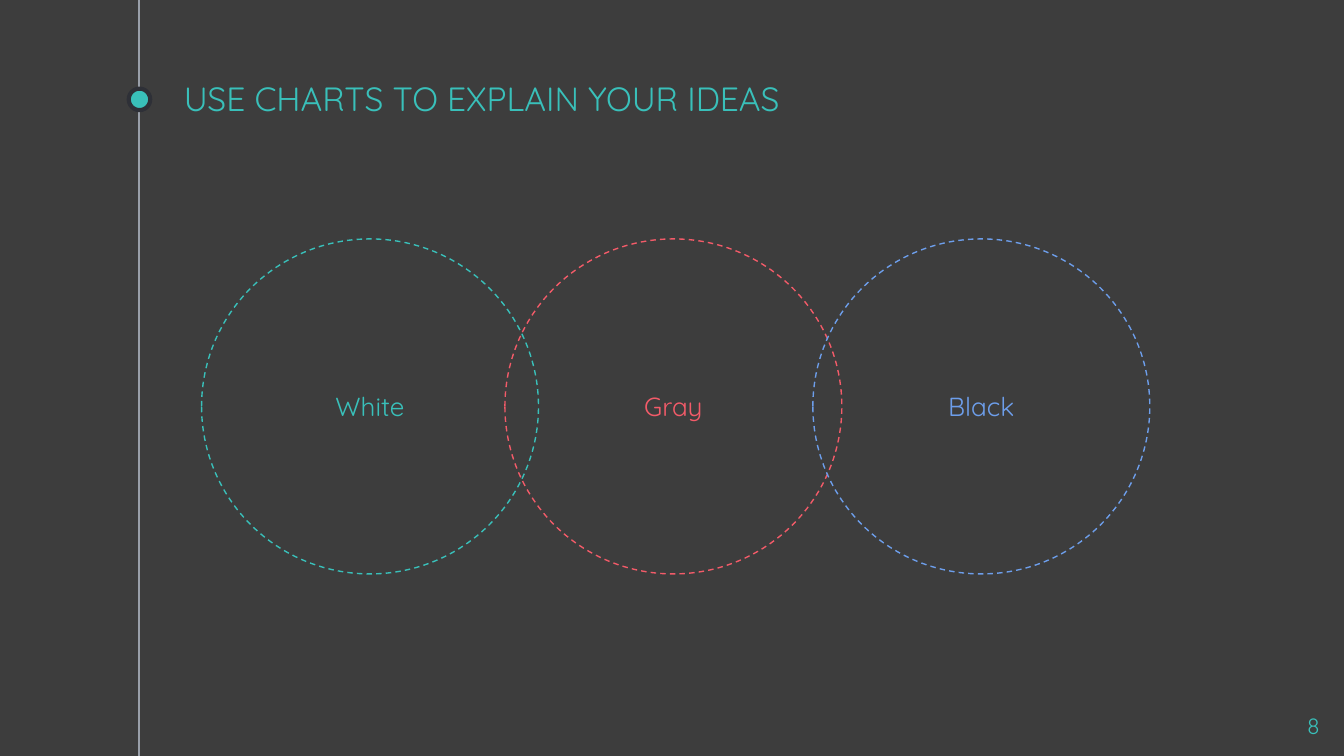
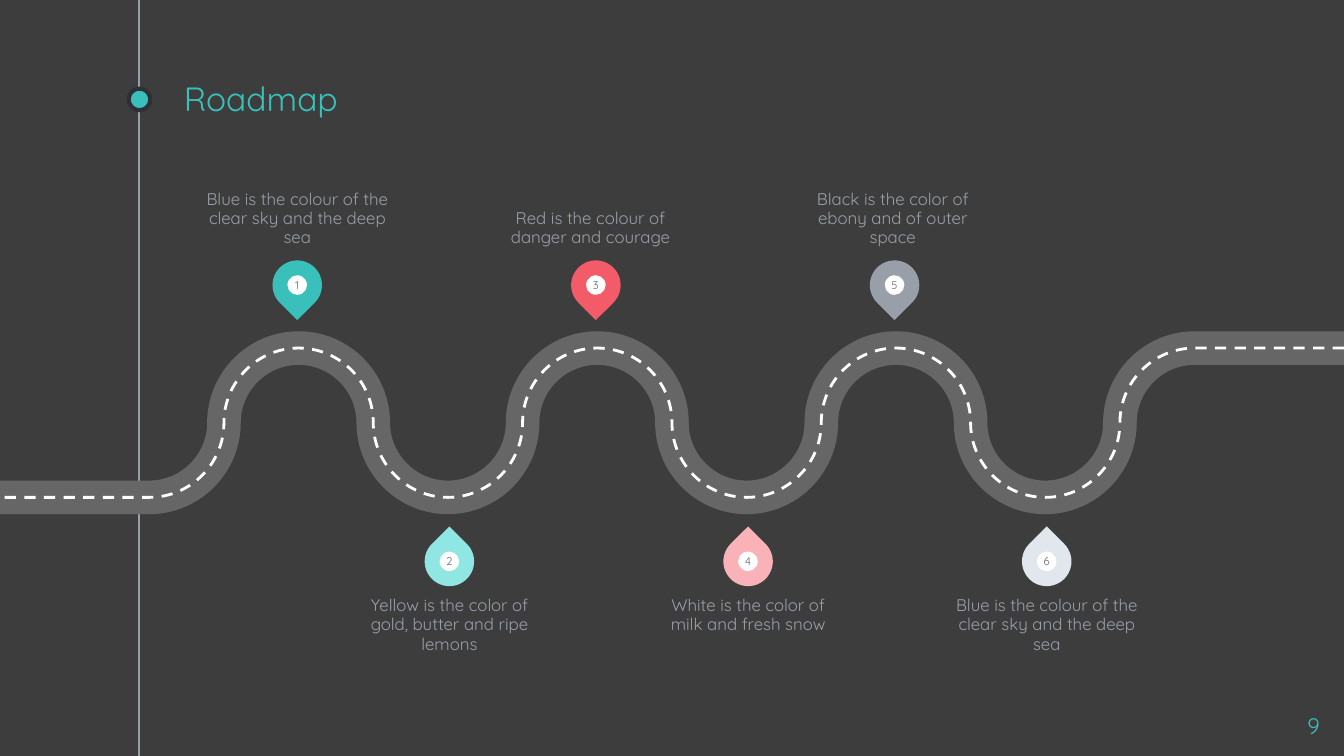
from dataclasses import dataclass

from lxml.etree import SubElement
from pptx import Presentation
from pptx.dml.color import RGBColor
from pptx.enum.dml import MSO_LINE_DASH_STYLE as DASH
from pptx.enum.shapes import MSO_CONNECTOR as CONNECTOR, MSO_SHAPE as SHAPE
from pptx.enum.text import MSO_ANCHOR as ANCHOR, PP_ALIGN as ALIGN
from pptx.oxml.ns import qn
from pptx.util import Pt

PX = 6350
WIDTH, HEIGHT = 1440, 810


@dataclass(frozen=True)
class Theme:
    font: str = "Quicksand"
    title: int = 18
    label: int = 14
    number: int = 12
    caption: int = 9
    pin: int = 6
    back: str = "3D3D3D"
    teal: str = "39C0BA"
    red: str = "F35B69"
    blue: str = "6D9EEB"
    gray: str = "999FA9"
    ring: str = "2E3037"
    road: str = "666666"
    white: str = "FFFFFF"
    pale_teal: str = "90E6E2"
    pale_red: str = "FAB2B9"
    pale_gray: str = "E2E7EE"


T = Theme()
CIRCLES = [("Gray", T.red, 541), ("White", T.teal, 216), ("Black", T.blue, 871)]
UPPER_STOPS = [
    (1, T.teal, 217, "Blue is the colour of the clear sky and the deep sea"),
    (3, T.red, 531, "Red is the colour of danger and courage"),
    (5, T.gray, 855, "Black is the color of ebony and of outer space"),
]
LOWER_STOPS = [
    (2, T.pale_teal, 380, "Yellow is the color of gold, butter and ripe lemons"),
    (4, T.pale_red, 700, "White is the color of milk and fresh snow"),
    (6, T.pale_gray, 1020, "Blue is the colour of the clear sky and the deep sea"),
]


def emu(*lengths):
    return [round(n * PX) for n in lengths]


def rgb(color):
    return RGBColor.from_string(color)


def paint(sp, fill=None, line=None, weight=0.75, dash=None):
    sp.shadow.inherit = False
    if fill:
        sp.fill.solid()
        sp.fill.fore_color.rgb = rgb(fill)
    else:
        sp.fill.background()
    if line:
        sp.line.color.rgb = rgb(line)
        sp.line.width = Pt(weight)
        sp.line.dash_style = dash
    else:
        sp.line.fill.background()
    return sp


def add_shape(shapes, kind, box, **look):
    return paint(shapes.add_shape(kind, *emu(*box)), **look)


def write(sp, text, size, color, align=ALIGN.LEFT, anchor=ANCHOR.TOP, inset=14, spacing=None):
    tf = sp.text_frame
    tf.word_wrap = True
    tf.vertical_anchor = anchor
    tf.margin_left = tf.margin_top = tf.margin_right = tf.margin_bottom = emu(inset)[0]
    p = tf.paragraphs[0]
    p.alignment = align
    p.line_spacing = spacing
    r = p.add_run()
    r.text = text
    r.font.name = T.font
    r.font.size = Pt(size)
    r.font.color.rgb = rgb(color)


def add_text(shapes, box, text, size, color, **layout):
    write(shapes.add_textbox(*emu(*box)), text, size, color, **layout)


def add_frame(prs, title, number):
    shapes = prs.slides.add_slide(prs.slide_layouts[6]).shapes
    axis = shapes.add_connector(CONNECTOR.STRAIGHT, *emu(149, 0, 149, HEIGHT))
    axis.line.color.rgb = rgb(T.gray)
    axis.line.width = Pt(0.75)
    SubElement(axis.line._get_or_add_ln().getparent(), qn("a:effectLst"))
    add_shape(shapes, SHAPE.OVAL, (138, 95, 23, 23), fill=T.teal, line=T.ring, weight=2.25)
    add_text(shapes, (183, 86, 1080, 55), title, T.title, T.teal, anchor=ANCHOR.BOTTOM)
    add_text(shapes, (1342, 749, 86, 49), str(number), T.number, T.teal, align=ALIGN.RIGHT)
    return shapes


def add_circles(shapes, top, width, height):
    for label, color, left in CIRCLES:
        sp = add_shape(shapes, SHAPE.OVAL, (left, top, width, height), line=color, dash=DASH.DASH)
        write(sp, label, T.label, color, align=ALIGN.CENTER, anchor=ANCHOR.MIDDLE)


def road_points(left, top, width, height):
    radius = height // 2
    handle = round(radius * 0.55)
    middle = top + radius
    points = [(left + width, top), (left + width - height, top)]
    for bend in range(7):
        x = left + width - (bend + 1) * height
        way = 1 if bend % 2 == 0 else -1
        start, end = middle - way * radius, middle + way * radius
        points += [
            (x - handle, start), (x - radius, middle - way * handle), (x - radius, middle),
            (x - radius, middle + way * handle), (x - height + handle, end), (x - height, end),
        ]
    return points + [(left, top + height)]


def add_road(shapes, box, **look):
    start, *rest = road_points(*box)
    builder = shapes.build_freeform(*start, scale=PX)
    builder.add_line_segments(rest, close=False)
    sp = paint(builder.convert_to_shape(), **look)
    path = next(sp._element.iter(qn("a:path")))
    path.set("fill", "none")
    bends = path.findall(qn("a:lnTo"))[1:-1]
    for i in range(0, len(bends), 3):
        curve = path.makeelement(qn("a:cubicBezTo"))
        bends[i].addprevious(curve)
        for step in bends[i:i + 3]:
            curve.append(step[0])
            path.remove(step)


def add_pin(shapes, left, top, number, color, rotation, size=53, dot=21):
    group = shapes.add_group_shape().shapes
    drop = add_shape(group, SHAPE.TEAR, (left, top, size, size), fill=color)
    drop.rotation = rotation
    inset = (size - dot) // 2
    sp = add_shape(group, SHAPE.OVAL, (left + inset, top + inset, dot, dot), fill=T.white)
    write(sp, str(number), T.pin, T.road, align=ALIGN.CENTER, anchor=ANCHOR.MIDDLE, inset=0)


def add_stops(shapes, stops, left, pin_top, caption_top, rotation, anchor, pitch=320):
    for i, (number, color, caption_left, caption) in enumerate(stops):
        add_pin(shapes, left + i * pitch, pin_top, number, color, rotation)
        add_text(shapes, (caption_left, caption_top, 203, 84), caption, T.caption, T.gray,
                 align=ALIGN.CENTER, anchor=anchor, inset=0, spacing=0.95)


def add_circles_slide(prs):
    shapes = add_frame(prs, "USE CHARTS TO EXPLAIN YOUR IDEAS", 8)
    add_circles(shapes, 256, 361, 359)


def add_roadmap_slide(prs):
    shapes = add_frame(prs, "Roadmap", 9)
    road = (0, 373, WIDTH, 160)
    add_road(shapes, road, line=T.road, weight=18)
    add_road(shapes, road, line=T.white, weight=1.5, dash=DASH.DASH)
    add_stops(shapes, UPPER_STOPS, 292, 279, 181, 135, ANCHOR.BOTTOM)
    add_stops(shapes, LOWER_STOPS, 455, 575, 639, 315, ANCHOR.TOP)


def main():
    prs = Presentation()
    prs.slide_width, prs.slide_height = emu(WIDTH, HEIGHT)
    fill = prs.slide_master.background.fill
    fill.solid()
    fill.fore_color.rgb = rgb(T.back)
    add_circles_slide(prs)
    add_roadmap_slide(prs)
    prs.save("out.pptx")


if __name__ == "__main__":
    main()
